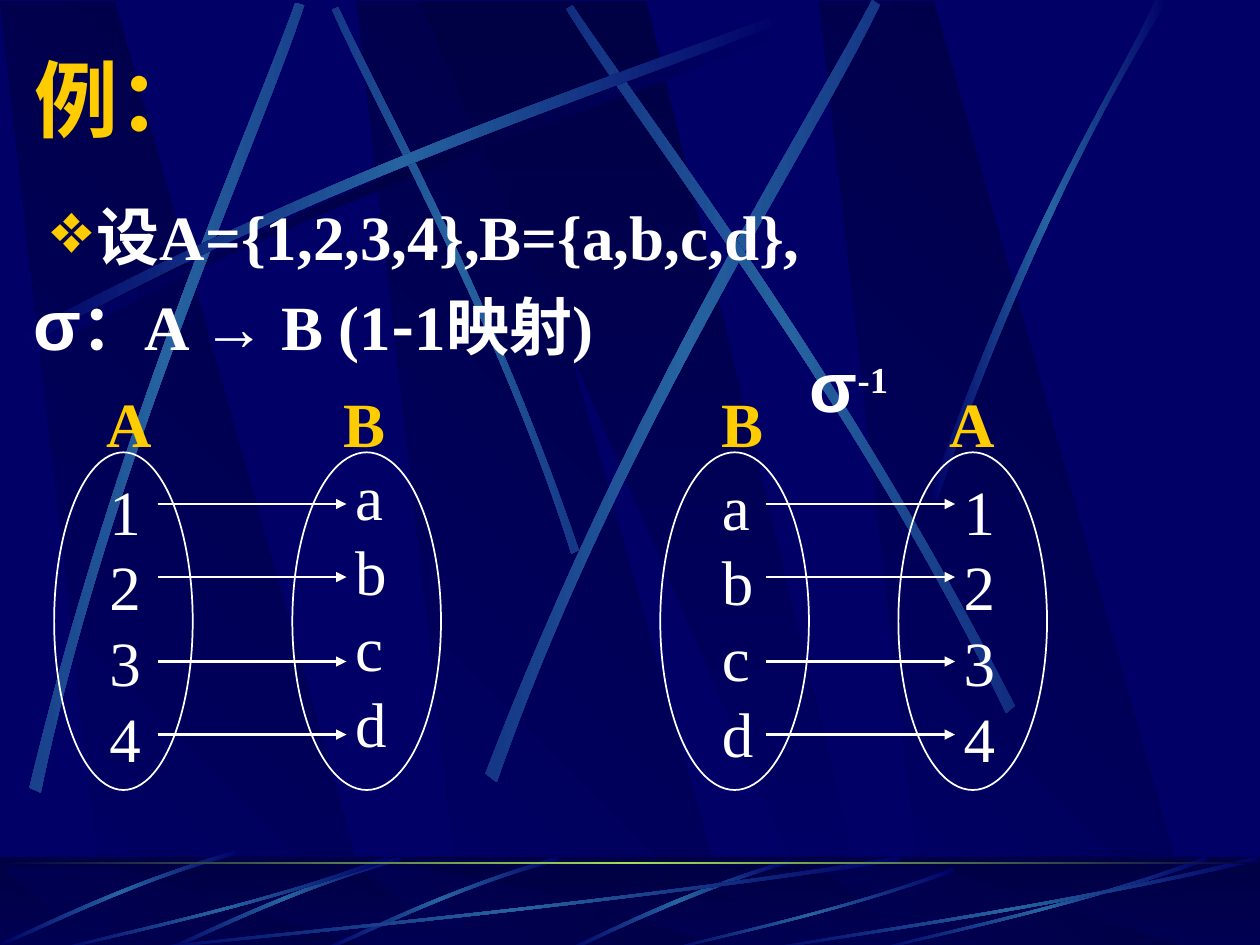
import math

from lxml import etree
from pptx import Presentation
from pptx import util as u
from pptx.dml.color import RGBColor
from pptx.enum import shapes, text
from pptx.oxml import parse_xml
from pptx.oxml.ns import nsdecls, qn

NAVY = RGBColor(0x00, 0x00, 0x66)
MIDNIGHT = RGBColor(0x00, 0x00, 0x44)
STEEL = RGBColor(0x26, 0x63, 0xA0)
LIME = RGBColor(0x9C, 0xE1, 0x57)
GOLD = RGBColor(0xFF, 0xCC, 0x00)
WHITE = RGBColor(0xFF, 0xFF, 0xFF)
SERIF, SANS, CJK = "Times New Roman", "Arial", "Noto Sans CJK SC"

PANELS = [((2.83, 3.74, 5.85, 3.69), 135), ((0, 0.91, 3.02, 0.86), 135),
          ((6.5, 7.41, 9.52, 7.36), 135), ((3.33, 5.13, 6.94, 6.58), 90)]
SHADOW_BEAM = [(0.2, 2.75), (2.84, 1.34), (5.24, 0.59), (6.26, 0.18),
               (6.29, 0.24), (5.28, 0.69), (2.54, 1.51), (0.23, 2.85)]
TILTED_BEAMS = [
    ([(4.6, 4.36), (3.91, 2.34), (3.02, 0.77), (2.69, 0.05),
      (2.64, 0.07), (2.95, 0.79), (3.98, 2.58), (4.54, 4.39)], 45, (3.62, 2.23)),
    ([(0.23, 6.25), (0.93, 3.34), (1.97, 1.05), (2.34, 0.02),
      (2.41, 0.04), (2.07, 1.09), (0.86, 3.68), (0.32, 6.29)], 311.7, (1.33, 3.16)),
    ([(3.85, 6.14), (4.98, 3.2), (6.38, 1.02), (6.92, 0),
      (6.98, 0.04), (6.49, 1.08), (4.86, 3.55), (3.94, 6.21)], 321.6, (5.43, 3.11)),
    ([(8.06, 5.6), (6.7, 2.93), (5.16, 0.95), (4.55, 0.04),
      (4.5, 0.07), (5.07, 1.01), (6.85, 3.25), (7.99, 5.66)], 34.8, (6.27, 2.86)),
]
LEVEL_BEAMS = [
    [(0.14, 2.67), (2.78, 1.25), (5.18, 0.51), (6.2, 0.1),
     (6.23, 0.16), (5.22, 0.61), (2.48, 1.43), (0.17, 2.77)],
    [(7.38, 3.94), (8.14, 1.73), (8.88, 0.66), (9.17, 0),
     (9.27, 0), (8.36, 1.45), (7.69, 3.22), (7.44, 3.97)],
    [(6.27, 6.82), (5.37, 7.09), (4.77, 7.42), (4.48, 7.54),
     (4.53, 7.55), (4.9, 7.37), (5.71, 7), (6.28, 6.85)],
]
TWIG = [(1.86, 0), (0.99, 0.25), (0.31, 0.6), (0, 0.73),
        (0.01, 0.75), (0.32, 0.63), (1.09, 0.23), (1.88, 0.03)]
TWIG_PLACES = [(2.56, 6.8), (1.31, 6.8), (0.01, 6.75)]
BLADE = [(1, 0.04), (0.57, 0.57), (0.17, 0.85), (0.01, 1),
         (0, 0.99), (0.17, 0.81), (0.62, 0.51), (0.99, 0)]
BLADE_PLACES = [(1, 6.8, 6.17), (0.42, 6.8, 2.67), (5.27, 6.89, 2.31),
                (6.92, 6.8, 2.67), (6, 6.8, 4)]


def paint_gradient(shape, colors, angle):
    """Fill a shape with evenly spaced gradient stops and no outline."""
    shape.shadow.inherit = False
    shape.line.fill.background()
    shape.fill.background()
    stops = "".join(
        f'<a:gs pos="{i * 100000 // (len(colors) - 1)}"><a:srgbClr val="{color}"/></a:gs>'
        for i, color in enumerate(colors))
    gradient = parse_xml(
        f'<a:gradFill {nsdecls("a")} rotWithShape="0"><a:gsLst>{stops}</a:gsLst>'
        f'<a:lin ang="{angle * 60000}" scaled="0"/></a:gradFill>')
    properties = shape._element.spPr
    properties.replace(properties.find(qn("a:noFill")), gradient)


def add_outline(slide, points, colors, angle):
    """Add a closed gradient-filled polygon."""
    start, *rest = [(u.Inches(x), u.Inches(y)) for x, y in points]
    builder = slide.shapes.build_freeform(*start)
    builder.add_line_segments(rest, close=True)
    outline = builder.convert_to_shape()
    paint_gradient(outline, colors, angle)
    return outline


def turn(point, center, degrees):
    """Rotate a point about a center."""
    angle = math.radians(degrees)
    dx, dy = point[0] - center[0], point[1] - center[1]
    return (center[0] + dx * math.cos(angle) - dy * math.sin(angle),
            center[1] + dx * math.sin(angle) + dy * math.cos(angle))


def add_beam(slide, points, rotation=0, center=(0, 0), middle=STEEL):
    """Add a thin beam bounded by two cubic curves."""
    level = [turn(point, center, -rotation) for point in points]
    beam = add_outline(slide, level, [NAVY, middle, NAVY], 180)
    beam.rotation = rotation
    segments = list(beam._element.iter(qn("a:lnTo")))
    for first, *others in (segments[:3], segments[4:7]):
        curve = etree.Element(qn("a:cubicBezTo"))
        first.addprevious(curve)
        for segment in (first, *others):
            curve.append(segment[0])
            segment.getparent().remove(segment)


def add_band(slide, top, height, colors, angle):
    """Add a full-width gradient band."""
    band = slide.shapes.add_shape(shapes.MSO_SHAPE.RECTANGLE, 0, u.Inches(top),
                                  u.Inches(10), u.Inches(height))
    paint_gradient(band, colors, angle)
    return band


def add_panels(slide, top, bottom):
    """Add the slanted dark panels between two heights."""
    for (a, b, c, d), angle in PANELS:
        add_outline(slide, [(a, top), (b, top), (c, bottom), (d, bottom)],
                    [MIDNIGHT, NAVY], angle)


def add_backdrop(slide, master):
    """Draw the panels, beams and lower strip and move them to the master."""
    master.background.fill.solid()
    master.background.fill.fore_color.rgb = NAVY
    add_panels(slide, 0.01, 7.52)
    add_beam(slide, SHADOW_BEAM, middle=MIDNIGHT)
    for points, rotation, center in TILTED_BEAMS:
        add_beam(slide, points, rotation, center)
    for points in LEVEL_BEAMS[:2]:
        add_beam(slide, points)
    add_band(slide, 6.8, 0.75, [MIDNIGHT, NAVY], 90)
    add_panels(slide, 6.88, 7.55)
    veil = add_band(slide, 6.8, 0.75, [MIDNIGHT, MIDNIGHT], 0)
    veil.fill.solid()
    veil.fill.fore_color.rgb = MIDNIGHT
    tint = veil._element.spPr.find(qn("a:solidFill"))[0]
    etree.SubElement(tint, qn("a:alpha"), val="50000")
    add_beam(slide, LEVEL_BEAMS[2])
    for left, top in TWIG_PLACES:
        add_beam(slide, [(left + x, top + y) for x, y in TWIG],
                 314.9, (left + 0.94, top + 0.38))
    for left, top, width in BLADE_PLACES:
        add_beam(slide, [(left + width * x, top + (7.55 - top) * y) for x, y in BLADE])
    add_band(slide, 6.84, 0.02, [MIDNIGHT, LIME, MIDNIGHT], 180)
    decor = [shape for shape in slide.shapes if not shape.is_placeholder]
    for position, shape in enumerate(decor, 2):
        master.shapes._spTree.insert(position, shape._element)


def add_run(paragraph, words, size=36, font=SERIF, color=WHITE, bold=False):
    """Append one formatted run."""
    run = paragraph.add_run()
    run.text = words
    run.font.size, run.font.name, run.font.bold = u.Pt(size), font, bold
    run.font.color.rgb = color
    run.font._element.find(qn("a:latin")).addnext(
        parse_xml(f'<a:ea {nsdecls("a")} typeface="{CJK}"/>'))
    return run


def add_text_frame(slide, left, top, width, height, wrap=False):
    """Add a text box and return its frame."""
    box = slide.shapes.add_textbox(*map(u.Inches, (left, top, width, height)))
    box.text_frame.word_wrap = wrap
    return box.text_frame


def add_column(slide, left, top, lines, width=0.45, height=2.5, **style):
    """Add a column of short lines."""
    frame = add_text_frame(slide, left, top, width, height)
    for i, line in enumerate(lines):
        paragraph = frame.add_paragraph() if i else frame.paragraphs[0]
        paragraph.line_spacing = u.Pt(43.2)
        add_run(paragraph, line, **style)


def add_set(slide, name, members, label_left, column_left, column_top, oval_left, oval_width):
    """Add a labelled oval with its members."""
    add_column(slide, label_left, 3, [name], 0.56, 0.7, color=GOLD, bold=True)
    add_column(slide, column_left, column_top, members)
    oval = slide.shapes.add_shape(shapes.MSO_SHAPE.OVAL, *map(
        u.Inches, (oval_left, 3.59, oval_width, 2.68)))
    oval.shadow.inherit = False
    oval.fill.background()
    oval.line.color.rgb, oval.line.width = WHITE, u.Pt(1)


def add_arrow(slide, left, y):
    """Add a horizontal mapping arrow."""
    arrow = slide.shapes.add_connector(shapes.MSO_CONNECTOR.STRAIGHT, *map(
        u.Inches, (left, y, left + 1.5, y)))
    arrow.line.color.rgb, arrow.line.width = WHITE, u.Pt(1.5)
    etree.SubElement(arrow.line._get_or_add_ln(), qn("a:tailEnd"), type="triangle")
    etree.SubElement(arrow._element.spPr, qn("a:effectLst"))


def add_title(slide):
    """Place and fill the title."""
    title = slide.shapes.title
    title.left, title.top, title.width, title.height = map(u.Inches, (0.17, 0.33, 8.5, 0.9))
    title.text_frame.vertical_anchor = text.MSO_ANCHOR.MIDDLE
    heading = title.text_frame.paragraphs[0]
    heading.alignment = text.PP_ALIGN.LEFT
    add_run(heading, "例：", 48, "Montserrat", GOLD, True)


def add_statement(slide):
    """Add the bulleted sets and the mapping line."""
    frame = add_text_frame(slide, 0.17, 1.58, 9.67, 1.5, wrap=True)
    sets, mapping = frame.paragraphs[0], frame.add_paragraph()
    for paragraph, pitch in ((sets, 39), (mapping, 43)):
        paragraph.alignment = text.PP_ALIGN.JUSTIFY
        paragraph.line_spacing = u.Pt(pitch)
    mapping.space_before = u.Pt(9)
    properties = sets._p.get_or_add_pPr()
    properties.set("marL", str(u.Inches(0.5)))
    properties.set("indent", str(u.Inches(-0.36)))
    color = etree.SubElement(properties, qn("a:buClr"))
    etree.SubElement(color, qn("a:srgbClr"), val=str(GOLD))
    etree.SubElement(properties, qn("a:buSzPct"), val="113000")
    etree.SubElement(properties, qn("a:buChar"), char="❖")
    add_run(sets, "设A={1,2,3,4},B={a,b,c,d},", bold=True)
    for words, size, font in [("σ", 40, SANS), ("：A ", 36, SERIF), ("→", 36, SANS),
                              (" B (1", 36, SERIF), ("-", 36, CJK), ("1", 36, SERIF),
                              ("映射", 36, CJK), (")", 36, SERIF)]:
        add_run(mapping, words, size, font, bold=True)


def add_inverse_label(slide):
    """Add the inverse mapping symbol."""
    symbol = add_text_frame(slide, 6.33, 2.67, 1.5, 0.77, wrap=True).paragraphs[0]
    symbol.line_spacing = u.Pt(48)
    add_run(symbol, "σ", 40, SANS, bold=True)
    exponent = add_run(symbol, "-1", bold=True)
    exponent.font._element.set("baseline", "30000")


def main():
    """Build and save the slide."""
    deck = Presentation()
    deck.slide_width, deck.slide_height = u.Inches(10), u.Inches(7.5)
    slide = deck.slides.add_slide(deck.slide_layouts[5])
    add_backdrop(slide, deck.slide_master)
    add_title(slide)
    add_statement(slide)
    add_set(slide, "A", "1234", 0.75, 0.77, 3.7, 0.43, 1.1)
    add_set(slide, "B", "abcd", 2.63, 2.72, 3.58, 2.32, 1.18)
    add_set(slide, "B", "abcd", 5.63, 5.63, 3.66, 5.24, 1.18)
    add_set(slide, "A", "1234", 7.44, 7.55, 3.7, 7.13, 1.18)
    for left in (1.25, 6.08):
        for y in (4, 4.58, 5.25, 5.83):
            add_arrow(slide, left, y)
    add_inverse_label(slide)
    deck.save("out.pptx")


if __name__ == "__main__":
    main()
